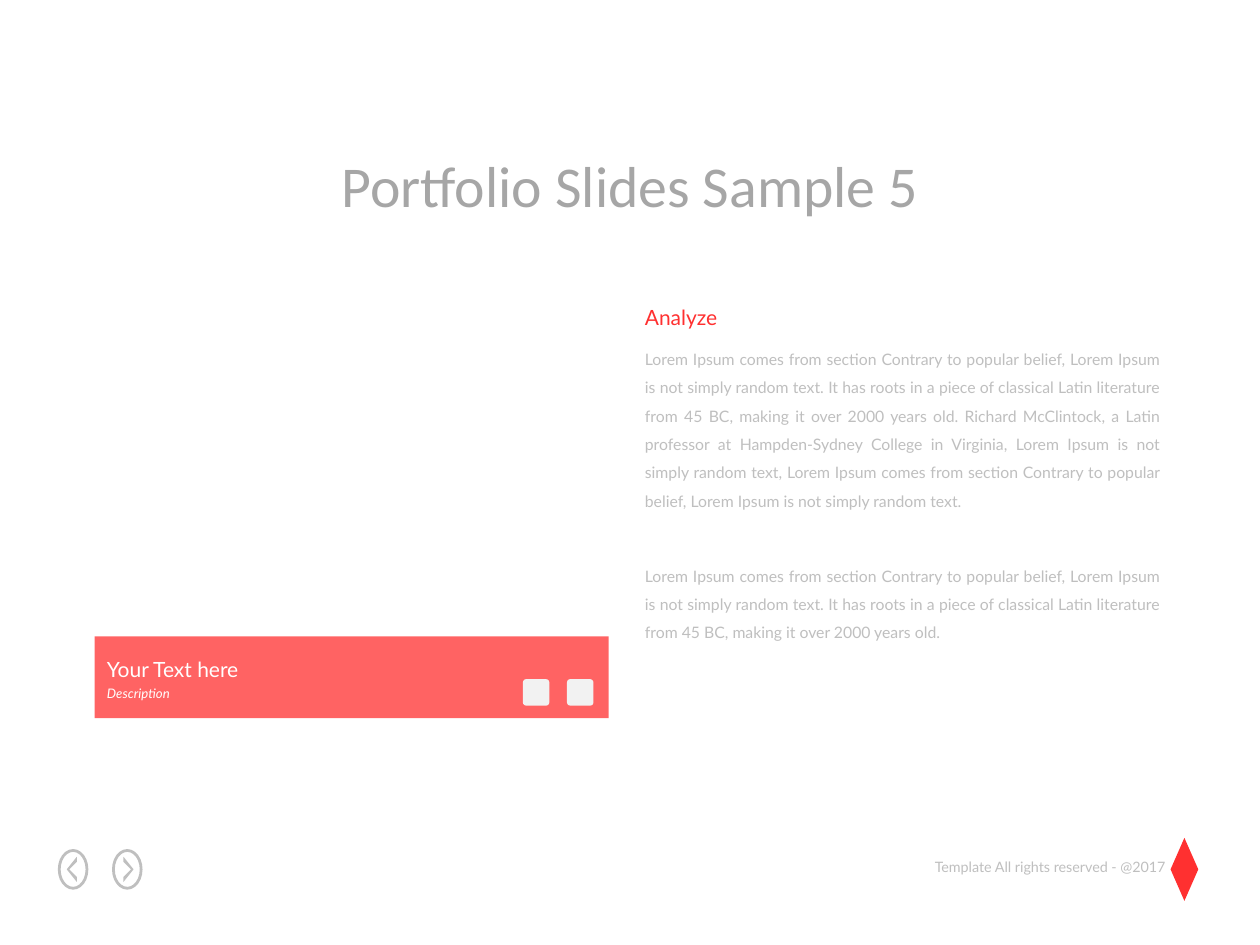
from lxml import etree
from pptx import Presentation
from pptx import util as u
from pptx.dml.color import RGBColor
from pptx.enum import shapes, text
from pptx.oxml.ns import qn

RED, GREY, WHITE, PALE = "FF3030", "BFBFBF", "FFFFFF", "F2F2F2"
SHAPE = shapes.MSO_SHAPE
ALIGN = text.PP_ALIGN

INTRO = ("Lorem Ipsum comes from section Contrary to popular belief, Lorem Ipsum "
         "is not simply random text. It has roots in a piece of classical Latin "
         "literature from 45 BC, making it over 2000 years old.")
DETAIL = (" Richard McClintock, a Latin professor at Hampden-Sydney College in "
          "Virginia, Lorem Ipsum is not simply random text, Lorem Ipsum comes from "
          "section Contrary to popular belief, Lorem Ipsum is not simply random text.")


def rgb(color):
    return RGBColor.from_string(color)


def place(sp, box):
    sp.left, sp.top, sp.width, sp.height = (u.Inches(v) for v in box)


def write(sp, content, size, color=GREY, font="Lato", align=ALIGN.LEFT,
          wrap=False, spacing=None, italic=None):
    tf = sp.text_frame
    tf.word_wrap = wrap
    tf.auto_size = text.MSO_AUTO_SIZE.NONE
    p = tf.paragraphs[0]
    p.alignment = align
    p.line_spacing = spacing
    r = p.add_run()
    r.text = content
    r.font.size = u.Pt(size)
    r.font.name = font
    r.font.italic = italic
    r.font.color.rgb = rgb(color)


def add_text(s, box, content, size, **fmt):
    write(s.shapes.add_textbox(*(u.Inches(v) for v in box)), content, size, **fmt)


def paint(sp, fill):
    sp.shadow.inherit = False
    sp.fill.solid()
    sp.fill.fore_color.rgb = rgb(fill)
    sp.line.fill.background()


def add_shape(s, kind, box, fill, alpha=None):
    sp = s.shapes.add_shape(kind, *(u.Inches(v) for v in box))
    paint(sp, fill)
    if alpha:
        clr = sp.fill._xPr.find(qn("a:solidFill"))[0]
        etree.SubElement(clr, qn("a:alpha"), val=str(alpha * 1000))
    return sp


def add_title(s, box):
    title = s.shapes.title
    place(title, box)
    write(title, "Portfolio Slides Sample 5", 33, color="A6A6A6",
          font="Calibri", align=ALIGN.CENTER)


def add_caption(s, x, y, w, h):
    add_shape(s, SHAPE.RECTANGLE, (x, y, w, h), RED, alpha=75)
    add_text(s, (x, y + 0.11, 1.31, 0.3), "Your Text here", 12, color=WHITE)
    add_text(s, (x, y + 0.34, 0.71, 0.23), "Description", 7.5, color=WHITE, italic=True)
    for right in (0.68, 0.33):
        icon = add_shape(s, SHAPE.ROUNDED_RECTANGLE,
                         (x + w - right, y + 0.34, 0.21, 0.21), PALE)
        icon.adjustments[0] = 0.12


def add_article(s, x, y, w):
    add_text(s, (x, y, 0.79, 0.3), "Analyze", 12, color=RED)
    for dy, h, body in ((0.28, 1.46, INTRO + DETAIL), (2, 0.78, INTRO)):
        add_text(s, (x, y + dy, w, h), body, 9, align=ALIGN.JUSTIFY,
                 wrap=True, spacing=1.5)


def add_nav_button(s, x, y, w, h, side):
    ring = s.shapes.add_shape(SHAPE.OVAL, *(u.Inches(v) for v in
                              (x + 0.01, y + 0.01, w - 0.02, h - 0.02)))
    ring.shadow.inherit = False
    ring.fill.background()
    ring.line.color.rgb = rgb(GREY)
    ring.line.width = u.Pt(1.6)
    cx, cy = x + w / 2, y + h / 2
    outline = ((0.03, -0.06), (-0.03, 0), (0.03, 0.06),
               (0.03, 0.1), (-0.05, 0), (0.03, -0.1))
    points = [(u.Inches(cx - side * dx), u.Inches(cy + dy)) for dx, dy in outline]
    fb = s.shapes.build_freeform(*points[0])
    fb.add_line_segments(points[1:], close=True)
    paint(fb.convert_to_shape(), GREY)


def add_footer(s, x, y, right):
    for i, side in enumerate((-1, 1)):
        add_nav_button(s, x + i * 0.43, y, 0.24, 0.32, side)
    add_shape(s, SHAPE.DIAMOND, (right - 0.22, y - 0.09, 0.22, 0.5), RED)
    add_text(s, (right - 2.26, y + 0.02, 2.1, 0.24),
             "Template All rights reserved - @2017", 8.2, align=ALIGN.RIGHT)


def main():
    prs = Presentation()
    prs.slide_width, prs.slide_height = u.Inches(10), u.Inches(7.5)
    s = prs.slides.add_slide(prs.slide_layouts[5])
    add_footer(s, 0.46, 6.74, 9.51)
    add_title(s, (2.41, 1.13, 5.18, 0.66))
    add_article(s, 5.02, 2.37, 4.28)
    add_caption(s, 0.75, 5.05, 4.08, 0.65)
    prs.save("out.pptx")


if __name__ == "__main__":
    main()
